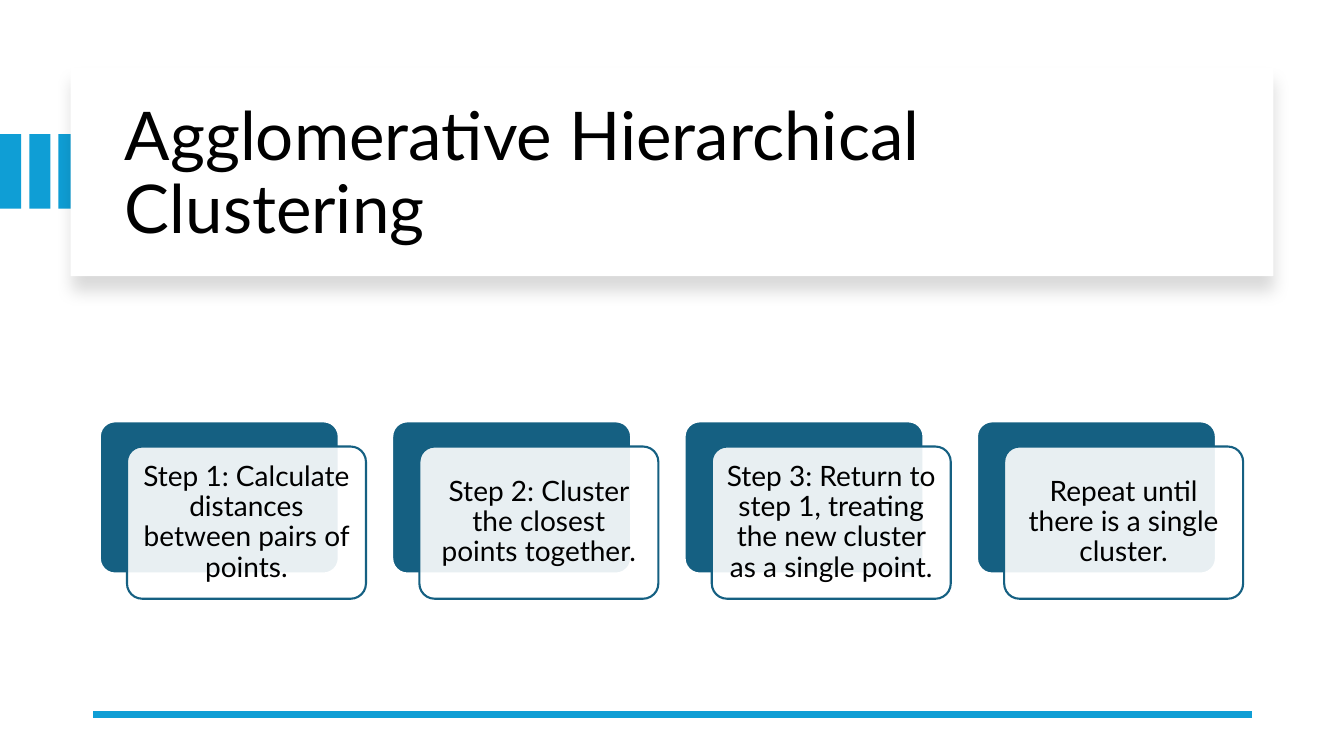
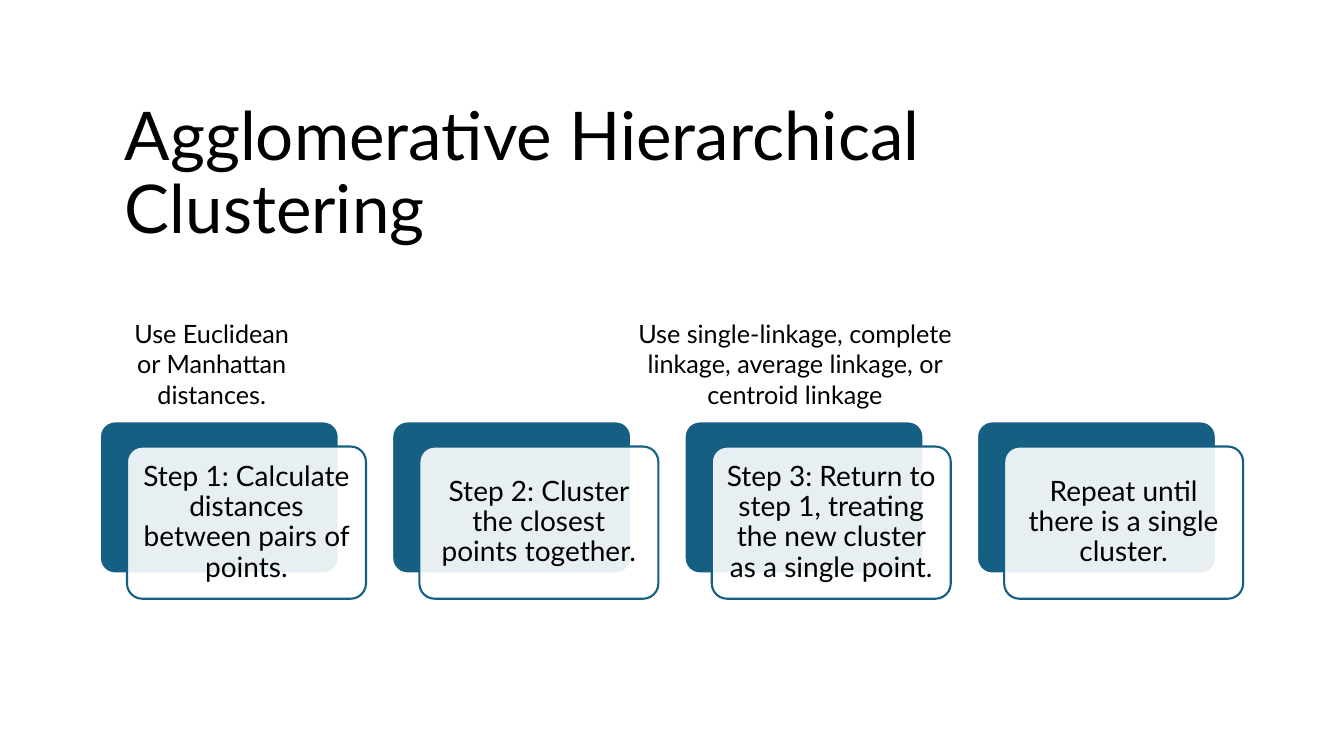
from lxml import etree
from pptx import Presentation
from pptx import util as u
from pptx.dml.color import RGBColor
from pptx.enum import shapes, text
from pptx.oxml.ns import qn

WHITE = RGBColor(0xFF, 0xFF, 0xFF)
BLACK = RGBColor(0x00, 0x00, 0x00)
BLUE = RGBColor(0x0F, 0x9E, 0xD5)
TEAL = RGBColor(0x15, 0x60, 0x82)
FONT = "Lato"

TITLE = "Agglomerative Hierarchical Clustering"
STEPS = [
    "Step 1: Calculate distances between pairs of points.",
    "Step 2: Cluster the closest points together.",
    "Step 3: Return to step 1, treating the new cluster as a single point.",
    "Repeat until there is a single cluster.",
]
# text, left, width
NOTES = [
    ("Use Euclidean or Manhattan distances.", 1.14, 1.92),
    ("Use single-linkage, complete linkage, average linkage, or centroid linkage", 6.19, 3.39),
]
SLIDES = [
    {"decorated": True, "notes": []},
    {"decorated": False, "notes": NOTES},
]

SLIDE_WIDTH, SLIDE_HEIGHT = 13.33, 7.5
BAR_COUNT, BAR_PITCH = 3, 0.29
CARD_LEFT, CARD_TOP, CARD_PITCH = 0.99, 4.18, 2.9
CARD_WIDTH, CARD_HEIGHT = 2.37, 1.51
CARD_SHIFT_X, CARD_SHIFT_Y = 0.27, 0.25
NOTE_TOP, NOTE_HEIGHT = 3.11, 1.01


def inches(*lengths):
    return [u.Inches(length) for length in lengths]


def add_box(slide, kind, box, fill, line=None):
    shape = slide.shapes.add_shape(kind, *inches(*box))
    shape.shadow.inherit = False
    shape.fill.solid()
    shape.fill.fore_color.rgb = fill
    if line is None:
        shape.line.fill.background()
    else:
        shape.line.color.rgb = line
        shape.line.width = u.Pt(1.5)
    return shape


def write(shape, words, size, align, spacing=1.0, anchor=text.MSO_ANCHOR.MIDDLE):
    frame = shape.text_frame
    frame.word_wrap = True
    frame.vertical_anchor = anchor
    paragraph = frame.paragraphs[0]
    paragraph.text = words
    paragraph.alignment = align
    paragraph.line_spacing = spacing
    paragraph.font.name = FONT
    paragraph.font.size = u.Pt(size)
    paragraph.font.color.rgb = BLACK
    return frame


def set_alpha(color_element, percent):
    etree.SubElement(color_element, qn("a:alpha"), val=str(percent * 1000))


def add_soft_shadow(shape):
    effects = shape._element.spPr.find(qn("a:effectLst"))
    shadow = etree.SubElement(
        effects, qn("a:outerShdw"), blurRad=str(u.Pt(11)), dist=str(u.Pt(10)),
        dir=str(90 * 60000), algn="t", rotWithShape="0")
    set_alpha(etree.SubElement(shadow, qn("a:srgbClr"), val=str(BLACK)), 15)


def add_decoration(slide):
    """Side bars, raised title panel and bottom rule."""
    rectangle = shapes.MSO_SHAPE.RECTANGLE
    for index in range(BAR_COUNT):
        add_box(slide, rectangle, (index * BAR_PITCH, 1.33, 0.21, 0.74), BLUE)
    add_soft_shadow(add_box(slide, rectangle, (0.7, 0.67, 11.93, 2.07), WHITE))
    rule = slide.shapes.add_connector(
        shapes.MSO_CONNECTOR.STRAIGHT, *inches(12.42, 7.09, 0.92, 7.09))
    rule.line.color.rgb = BLUE
    rule.line.width = u.Pt(4.5)
    etree.SubElement(rule._element.spPr, qn("a:effectLst"))


def add_title(slide):
    title = slide.shapes.add_textbox(*inches(1.14, 0.89, 11.13, 1.7))
    write(title, TITLE, 48, text.PP_ALIGN.LEFT, 0.9)


def add_step(slide, index, words):
    """A dark card with a translucent text card shifted over it."""
    rounded = shapes.MSO_SHAPE.ROUNDED_RECTANGLE
    left = CARD_LEFT + index * CARD_PITCH
    back = add_box(slide, rounded, (left, CARD_TOP, CARD_WIDTH, CARD_HEIGHT), TEAL, WHITE)
    front = add_box(
        slide, rounded,
        (left + CARD_SHIFT_X, CARD_TOP + CARD_SHIFT_Y, CARD_WIDTH, CARD_HEIGHT), WHITE, TEAL)
    for card in (back, front):
        card.adjustments[0] = 0.1
    set_alpha(front._element.spPr.find(qn("a:solidFill"))[0], 90)
    frame = write(front, words, 20, text.PP_ALIGN.CENTER, 0.9)
    frame.margin_left = frame.margin_right = u.Inches(0.08)
    frame.margin_top = frame.margin_bottom = u.Inches(0.08)


def add_note(slide, words, left, width):
    note = slide.shapes.add_textbox(*inches(left, NOTE_TOP, width, NOTE_HEIGHT))
    write(note, words, 18, text.PP_ALIGN.CENTER, anchor=text.MSO_ANCHOR.TOP)


def main():
    presentation = Presentation()
    presentation.slide_width, presentation.slide_height = inches(SLIDE_WIDTH, SLIDE_HEIGHT)
    for content in SLIDES:
        slide = presentation.slides.add_slide(presentation.slide_layouts[6])
        if content["decorated"]:
            add_decoration(slide)
        add_title(slide)
        for index, words in enumerate(STEPS):
            add_step(slide, index, words)
        for note in content["notes"]:
            add_note(slide, *note)
    presentation.save("out.pptx")


if __name__ == "__main__":
    main()
